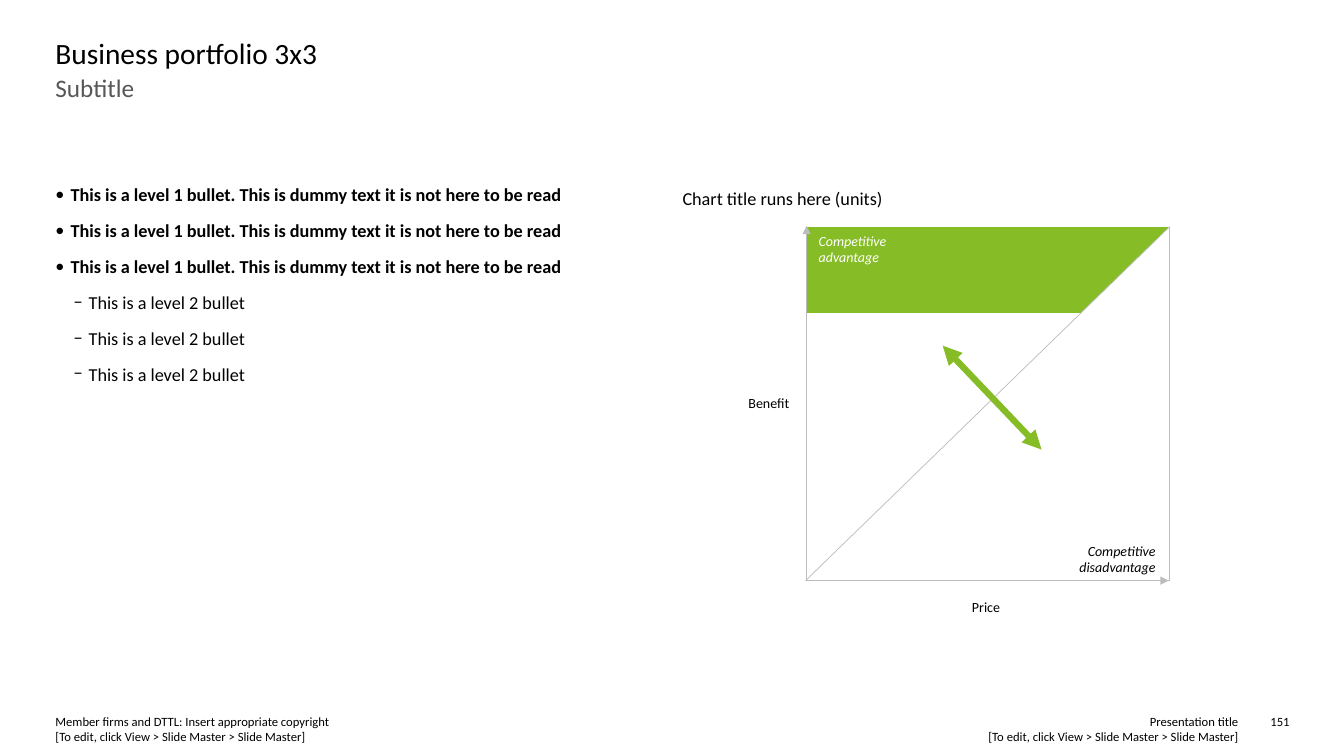
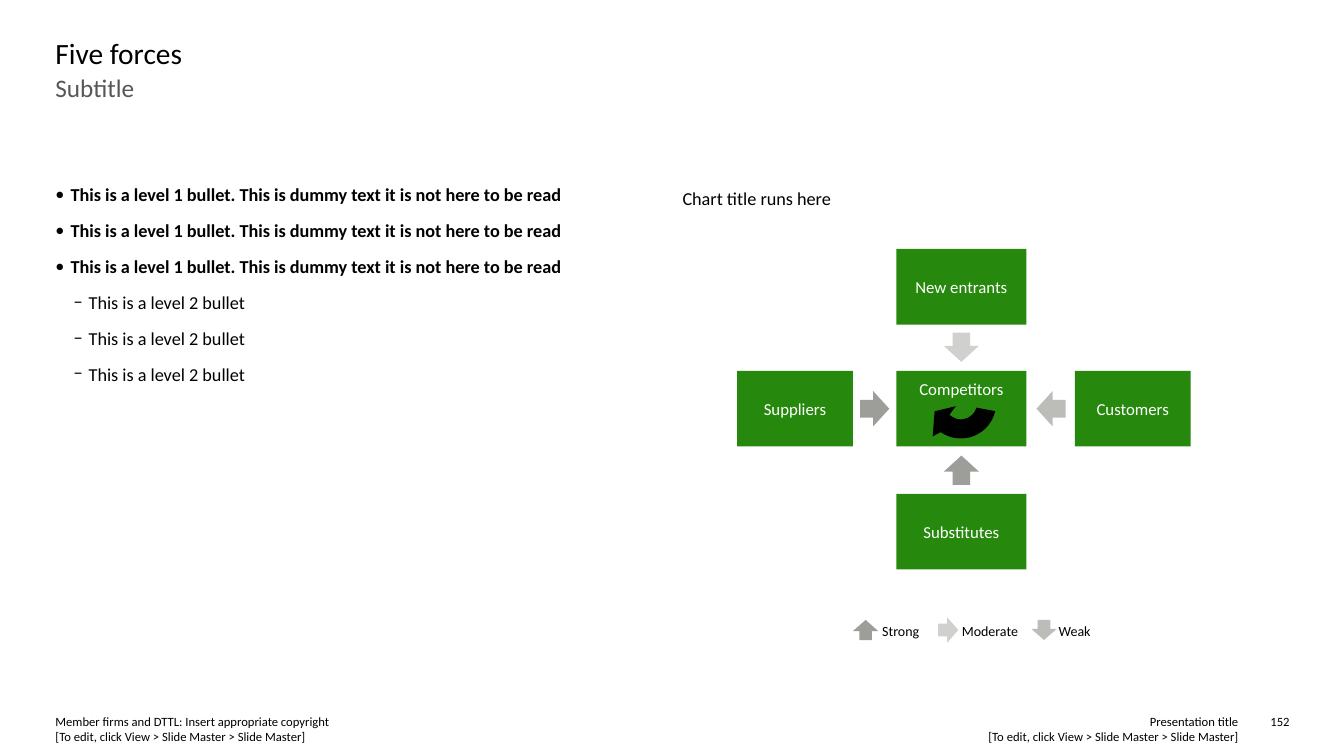
"""Builds two strategy slides: a benefit and price chart, and five forces."""
import math

from lxml import etree
from pptx import Presentation
from pptx import util as u
from pptx.dml.color import RGBColor
from pptx.enum import shapes, text
from pptx.oxml.ns import qn

PX = 9144
FONT = "Calibri"
BLACK = RGBColor(0x00, 0x00, 0x00)
WHITE = RGBColor(0xFF, 0xFF, 0xFF)
SUBTITLE_GREY = RGBColor(0x57, 0x57, 0x57)
LINE_GREY = RGBColor(0xBB, 0xBC, 0xBC)
LIME = RGBColor(0x86, 0xBC, 0x25)
GREEN = RGBColor(0x26, 0x89, 0x0D)
DARK_ARROW = RGBColor(0x9D, 0x9D, 0x99)
MID_ARROW = RGBColor(0xBC, 0xBC, 0xB9)
LIGHT_ARROW = RGBColor(0xD0, 0xD0, 0xCE)
LEFT, CENTER, RIGHT = text.PP_ALIGN.LEFT, text.PP_ALIGN.CENTER, text.PP_ALIGN.RIGHT
TOP, MIDDLE = text.MSO_ANCHOR.TOP, text.MSO_ANCHOR.MIDDLE
RECT, DOWN = shapes.MSO_SHAPE.RECTANGLE, shapes.MSO_SHAPE.DOWN_ARROW

EDIT_HINT = "[To edit, click View > Slide Master > Slide Master]"
LEVEL_1 = "This is a level 1 bullet. This is dummy text it is not here to be read"
LEVEL_2 = "This is a level 2 bullet"
BULLETS = [(0, LEVEL_1)] * 3 + [(1, LEVEL_2)] * 3
LEVELS = [("•", 15, True), ("−", 33, False)]


def add_text(s, box, content, size, color=BLACK, align=LEFT, anchor=TOP,
             wrap=True, italic=False, spacing=None):
    tb = s.shapes.add_textbox(*(v * PX for v in box))
    tf = tb.text_frame
    tf.margin_left = tf.margin_top = tf.margin_right = tf.margin_bottom = 0
    tf.word_wrap = wrap
    tf.vertical_anchor = anchor
    tf.text = content
    for p in tf.paragraphs:
        p.alignment = align
        p.line_spacing = spacing
        for r in p.runs:
            r.font.name = FONT
            r.font.size = u.Pt(size)
            r.font.color.rgb = color
            r.font.italic = italic
    return tf


def add_shape(s, kind, box, fill, rotation=0):
    sp = s.shapes.add_shape(kind, *(v * PX for v in box))
    sp.shadow.inherit = False
    sp.fill.solid()
    sp.fill.fore_color.rgb = fill
    sp.line.fill.background()
    sp.rotation = rotation
    if kind == DOWN:
        sp.adjustments[0], sp.adjustments[1] = 0.5, 0.55
    return sp


prs = Presentation()
prs.slide_width, prs.slide_height = 1333 * PX, 750 * PX
pages = []
for title, chart_title, number in [
    ("Business portfolio 3x3", "Chart title runs here (units)", "151"),
    ("Five forces", "Chart title runs here", "152"),
]:
    s = prs.slides.add_slide(prs.slide_layouts[6])
    pages.append(s)
    add_text(s, (55, 35, 1224, 37), title, 21)
    add_text(s, (55, 72, 1224, 83), "Subtitle", 18, SUBTITLE_GREY)
    add_text(s, (677, 186, 450, 22), chart_title, 13)
    add_text(s, (55, 708, 586, 30),
             "Member firms and DTTL: Insert appropriate copyright\v" + EDIT_HINT, 9)
    add_text(s, (693, 708, 535, 30), "Presentation title\v" + EDIT_HINT, 9, align=RIGHT)
    add_text(s, (1245, 708, 34, 15), number, 9, align=RIGHT)
    tf = add_text(s, (55, 182, 612, 516), "\n".join(line for _, line in BULLETS), 13)
    for p, (level, _) in zip(tf.paragraphs, BULLETS):
        mark, margin, bold = LEVELS[level]
        pPr = p._p.get_or_add_pPr()
        pPr.set("marL", str(margin * PX))
        pPr.set("indent", str(-15 * PX))
        etree.SubElement(pPr, qn("a:buFont")).set("typeface", FONT)
        etree.SubElement(pPr, qn("a:buChar")).set("char", mark)
        p.level = level
        p.space_after = u.Pt(10)
        p.runs[0].font.bold = bold

portfolio, forces = pages

s = portfolio
band = add_shape(s, RECT, (799, 225, 360, 86), LIME)
band.line.color.rgb = WHITE
band.line.width = u.Pt(1)

fb = s.shapes.build_freeform(799, 576, scale=PX)
fb.add_line_segments([(1160, 576), (1160, 225)], close=True)
triangle = fb.convert_to_shape()
triangle.shadow.inherit = False
triangle.fill.solid()
triangle.fill.fore_color.rgb = WHITE

fb = s.shapes.build_freeform(800, 224, scale=PX)
fb.add_line_segments([(800, 576), (1159, 576)], close=False)
axes = fb.convert_to_shape()
axes.shadow.inherit = False
axes.fill.background()

trade_off = s.shapes.add_connector(
    shapes.MSO_CONNECTOR.STRAIGHT, *(v * PX for v in (935, 343, 1033, 446)))

for sp, color, width in [(triangle, LINE_GREY, 0.5), (axes, LINE_GREY, 0.75),
                         (trade_off, LIME, 4.5)]:
    sp.line.color.rgb = color
    sp.line.width = u.Pt(width)
for sp in (axes, trade_off):
    ln = sp.element.spPr.find(qn("a:ln"))
    for end in ("a:headEnd", "a:tailEnd"):
        etree.SubElement(ln, qn(end)).set("type", "triangle")
etree.SubElement(trade_off.element.spPr, qn("a:effectLst"))

for box, label, color, align, italic in [
    ((737, 393, 51, 16), "Benefit", BLACK, CENTER, False),
    ((953, 595, 50, 16), "Price", BLACK, CENTER, False),
    ((812, 232, 100, 32), "Competitive\vadvantage", WHITE, LEFT, True),
    ((1046, 539, 100, 32), "Competitive\vdisadvantage", BLACK, RIGHT, True),
]:
    add_text(s, box, label, 10, color, align, MIDDLE, True, italic, 0.95)

s = forces
for x, y, w, label in [
    (889, 247, 129, "New entrants"),
    (731, 368, 115, "Suppliers"),
    (889, 368, 129, "Competitors"),
    (1066, 368, 115, "Customers"),
    (889, 490, 129, "Substitutes"),
]:
    tf = add_shape(s, RECT, (x, y, w, 75), GREEN).text_frame
    tf.margin_left = tf.margin_top = tf.margin_right = tf.margin_bottom = 4 * PX
    tf.word_wrap = True
    tf.vertical_anchor = MIDDLE
    if label == "Competitors":
        tf.vertical_anchor = TOP
        tf.margin_top = 8 * PX
    tf.text = label
    p = tf.paragraphs[0]
    p.alignment = CENTER
    r = p.runs[0]
    r.font.name = FONT
    r.font.size = u.Pt(12)
    r.font.color.rgb = WHITE

for x, y, rotation, color in [
    (936, 330, 0, LIGHT_ARROW),
    (1025, 391, 90, MID_ARROW),
    (936, 452, 180, DARK_ARROW),
    (850, 391, 270, DARK_ARROW),
]:
    add_shape(s, DOWN, (x, y, 35, 29), color, rotation)

outer = [(953 + 35 * math.cos(math.radians(a)), 400 + 35 * math.sin(math.radians(a)))
         for a in range(13, 132, 7)]
inner = [(953 + 16 * math.cos(math.radians(a)), 400 + 16 * math.sin(math.radians(a)))
         for a in range(135, 15, -7)]
head = [(925, 433), (927, 408), (948, 403), (942, 411)]
outline = [(round(x * 10), round(y * 10)) for x, y in outer + head + inner]
fb = s.shapes.build_freeform(*outline[0], scale=PX / 10)
fb.add_line_segments(outline[1:], close=True)
rivalry = fb.convert_to_shape()
rivalry.shadow.inherit = False
rivalry.fill.solid()
rivalry.fill.fore_color.rgb = BLACK
rivalry.line.fill.background()

for x, rotation, color, label_x, label_w, label in [
    (846, 180, DARK_ARROW, 875, 37, "Strong"),
    (928, 270, LIGHT_ARROW, 954, 57, "Moderate"),
    (1023, 0, MID_ARROW, 1050, 32, "Weak"),
]:
    add_shape(s, DOWN, (x, 615, 25, 20), color, rotation)
    add_text(s, (label_x, 618, label_w, 17), label, 10, wrap=False)

prs.save("out.pptx")
